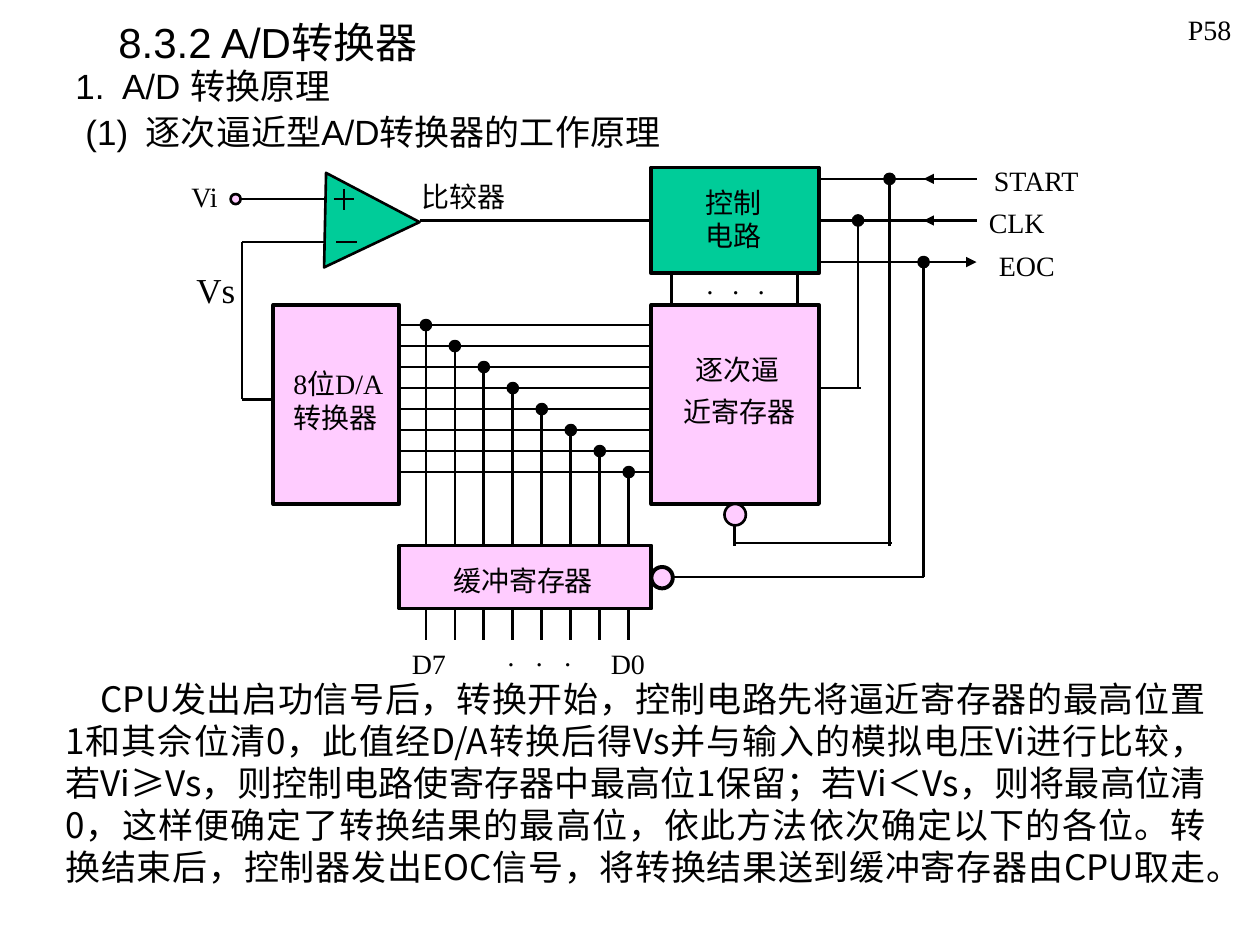
from lxml import etree
from pptx import Presentation
from pptx.dml.color import RGBColor
from pptx.enum.shapes import MSO_CONNECTOR, MSO_SHAPE
from pptx.enum.text import MSO_ANCHOR, PP_ALIGN
from pptx.oxml.ns import qn
from pptx.util import Inches, Pt

STRAIGHT = MSO_CONNECTOR.STRAIGHT
RECTANGLE = MSO_SHAPE.RECTANGLE
OVAL = MSO_SHAPE.OVAL
EXTRACT = MSO_SHAPE.FLOWCHART_EXTRACT
MIDDLE = MSO_ANCHOR.MIDDLE
CENTER, JUSTIFY = PP_ALIGN.CENTER, PP_ALIGN.JUSTIFY

COLORS = {"ink": "000000", "pink": "FFCCFF", "green": "00CC99"}
SERIF, SANS, CJK = "Times New Roman", "Arial", "Noto Sans CJK SC"

presentation = Presentation()
presentation.slide_width, presentation.slide_height = Inches(10), Inches(7.5)
slide = presentation.slides.add_slide(presentation.slide_layouts[6])


def add_shape(kind, left, top, width, height, fill, weight=1.5):
    shape = slide.shapes.add_shape(
        kind, Inches(left), Inches(top), Inches(width), Inches(height))
    shape.shadow.inherit = False
    shape.fill.solid()
    shape.fill.fore_color.rgb = RGBColor.from_string(COLORS[fill])
    shape.line.color.rgb = RGBColor.from_string(COLORS["ink"])
    shape.line.width = Pt(weight)
    return shape


def add_text(lines, left, top, width, height, size=16, font=SERIF):
    box = slide.shapes.add_textbox(
        Inches(left), Inches(top), Inches(width), Inches(height))
    frame = box.text_frame
    frame.word_wrap = True
    frame.text = lines
    for paragraph in frame.paragraphs:
        paragraph.font.size = Pt(size)
        paragraph.font.name = font
        paragraph.font.color.rgb = RGBColor.from_string(COLORS["ink"])
        defaults = paragraph._p.pPr.find(qn("a:defRPr"))
        etree.SubElement(defaults, qn("a:ea")).set("typeface", CJK)
    return frame


# Headings
title = add_text("8.3.2 A/D转换器", 0.75, 0.17, 2.75, 0.33, 24, SANS)
title.vertical_anchor = MIDDLE
title.paragraphs[0].alignment = CENTER

headings = add_text("1.\tA/D 转换原理\n(1)\t逐次逼近型A/D转换器的工作原理",
                    0.5, 0.5, 5.08, 0.83, 20, SANS)
for paragraph, margin, hanging in zip(headings.paragraphs, (0.37, 0.56), (0.37, 0.48)):
    paragraph.line_spacing = 0.9
    properties = paragraph._p.get_or_add_pPr()
    properties.set("marL", str(Inches(margin)))
    properties.set("indent", str(-Inches(hanging)))
headings.paragraphs[1].space_before = Pt(5)

# Explanation
explanation = add_text(
    "CPU发出启功信号后，转换开始，控制电路先将逼近寄存器的最高位置1和其佘位清0，"
    "此值经D/A转换后得Vs并与输入的模拟电压Vi进行比较，若Vi≥Vs，则控制电路使寄存器中"
    "最高位1保留；若Vi＜Vs，则将最高位清0，这样便确定了转换结果的最高位，依此方法依次"
    "确定以下的各位。转换结束后，控制器发出EOC信号，将转换结果送到缓冲寄存器由CPU取走。",
    0.42, 5.33, 9.25, 2.1, 20, CJK).paragraphs[0]
explanation.alignment = JUSTIFY
explanation._p.get_or_add_pPr().set("indent", str(Inches(0.28)))

# Blocks
add_shape(RECTANGLE, 2.17, 2.42, 1, 1.58, "pink", 2.25)
control = add_shape(RECTANGLE, 5.17, 1.33, 1.33, 0.84, "green", 2.25)
add_shape(RECTANGLE, 5.17, 2.42, 1.33, 1.58, "pink", 2.25)
add_shape(RECTANGLE, 3.17, 4.33, 2, 0.5, "pink", 2.25)
comparator = add_shape(EXTRACT, 2.58, 1.38, 0.75, 0.75, "green")
comparator.rotation = 91.2

# Input terminal and inverting inputs
add_shape(OVAL, 1.83, 1.54, 0.08, 0.08, "pink")
add_shape(OVAL, 5.17, 4.5, 0.17, 0.17, "pink", 2.25)
add_shape(OVAL, 5.75, 4, 0.17, 0.17, "pink")

# Wires: start x, start y, end x, end y, arrowhead at the end,
# control block side at the start, control block side at the end
wires = [
    (3.33, 1.75, 5.17, 1.75, False, None, 1),     # comparator output
    (2.58, 1.58, 1.92, 1.58, False, None, None),  # Vi
    (2.17, 3.17, 1.92, 3.17, False, None, None),  # Vs
    (1.92, 3.17, 1.92, 1.92, False, None, None),
    (1.92, 1.92, 2.58, 1.92, False, None, None),
    (6.5, 1.42, 7.75, 1.42, False, None, None),   # START
    (7.5, 1.42, 7.33, 1.42, True, None, None),
    (7.06, 1.42, 7.06, 4.33, False, None, None),
    (5.83, 4.31, 7.08, 4.31, False, None, None),
    (5.83, 4.17, 5.83, 4.33, False, None, None),
    (6.5, 1.75, 7.75, 1.75, False, 3, None),      # CLK
    (7.58, 1.75, 7.33, 1.75, True, None, None),
    (6.81, 3.08, 6.81, 1.75, False, None, None),
    (6.5, 3.08, 6.83, 3.08, False, None, None),
    (6.5, 2.08, 7.75, 2.08, True, None, None),    # EOC
    (7.33, 2.08, 7.33, 4.58, False, None, None),
    (5.33, 4.58, 7.33, 4.58, False, None, None),
    (5.33, 2.17, 5.33, 2.42, False, None, None),  # control to register
    (6.33, 2.17, 6.33, 2.42, False, None, None),
    (2.73, 1.5, 2.73, 1.67, False, None, None),   # plus and minus signs
    (2.65, 1.58, 2.81, 1.58, False, None, None),
    (2.67, 1.92, 2.83, 1.92, False, None, None),
]
junctions = [(7.06, 1.42), (6.81, 1.75), (7.33, 2.08)]

# Eight data bits: bus row, drop to the buffer, output pin
for bit in range(8):
    x, y = 3.38 + 0.23 * bit, 2.58 + bit / 6
    wires += [
        (3.17, y, 5.17, y, False, None, None),
        (x, y, x, 4.33, False, None, None),
        (x, 4.83, x, 5.08, False, None, None),
    ]
    junctions.append((x, y))

for x1, y1, x2, y2, arrow, start_side, end_side in wires:
    wire = slide.shapes.add_connector(
        STRAIGHT, Inches(x1), Inches(y1), Inches(x2), Inches(y2))
    wire.line.color.rgb = RGBColor.from_string(COLORS["ink"])
    wire.line.width = Pt(1.5)
    if arrow:
        etree.SubElement(wire.line._get_or_add_ln(), qn("a:tailEnd")).set("type", "triangle")
    etree.SubElement(wire._element.spPr, qn("a:effectLst"))
    if start_side is not None:
        wire.begin_connect(control, start_side)
    if end_side is not None:
        wire.end_connect(control, end_side)

for x, y in junctions:
    add_shape(OVAL, x - 0.04, y - 0.04, 0.08, 0.08, "ink")

# Labels
for label, left, top, width, height in [
    ("P58", 9.33, 0.05, 0.67, 0.37),
    ("Vi", 1.42, 1.38, 0.58, 0.37),
    ("比较器", 3.25, 1.38, 1, 0.37),
    ("控制电路", 5.5, 1.42, 0.67, 0.64),
    ("START", 7.79, 1.25, 1.08, 0.37),
    ("CLK", 7.75, 1.58, 0.67, 0.37),
    ("EOC", 7.83, 1.92, 0.67, 0.37),
    ("8位D/A转换器", 2.23, 2.86, 1, 0.9),
    ("逐次逼", 5.42, 2.75, 1, 0.37),
    ("近寄存器", 5.33, 3.08, 1.17, 0.37),
    ("缓冲寄存器", 3.5, 4.42, 1.58, 0.37),
    ("D7", 3.17, 5.08, 0.5, 0.37),
    ("D0", 4.75, 5.08, 0.5, 0.37),
]:
    add_text(label, left, top, width, height)
add_text("Vs", 1.46, 2.08, 0.58, 0.44, 20)

# Ellipsis dots on one line, spread by character spacing
for left, top, width, spacing in [(5.5, 2.13, 0.75, 270), (3.92, 5.08, 0.8, 350)]:
    dots = add_text("· · ·", left, top, width, 0.37)
    dots.word_wrap = False
    dots.paragraphs[0].runs[0]._r.get_or_add_rPr().set("spc", str(spacing))

presentation.save("out.pptx")
